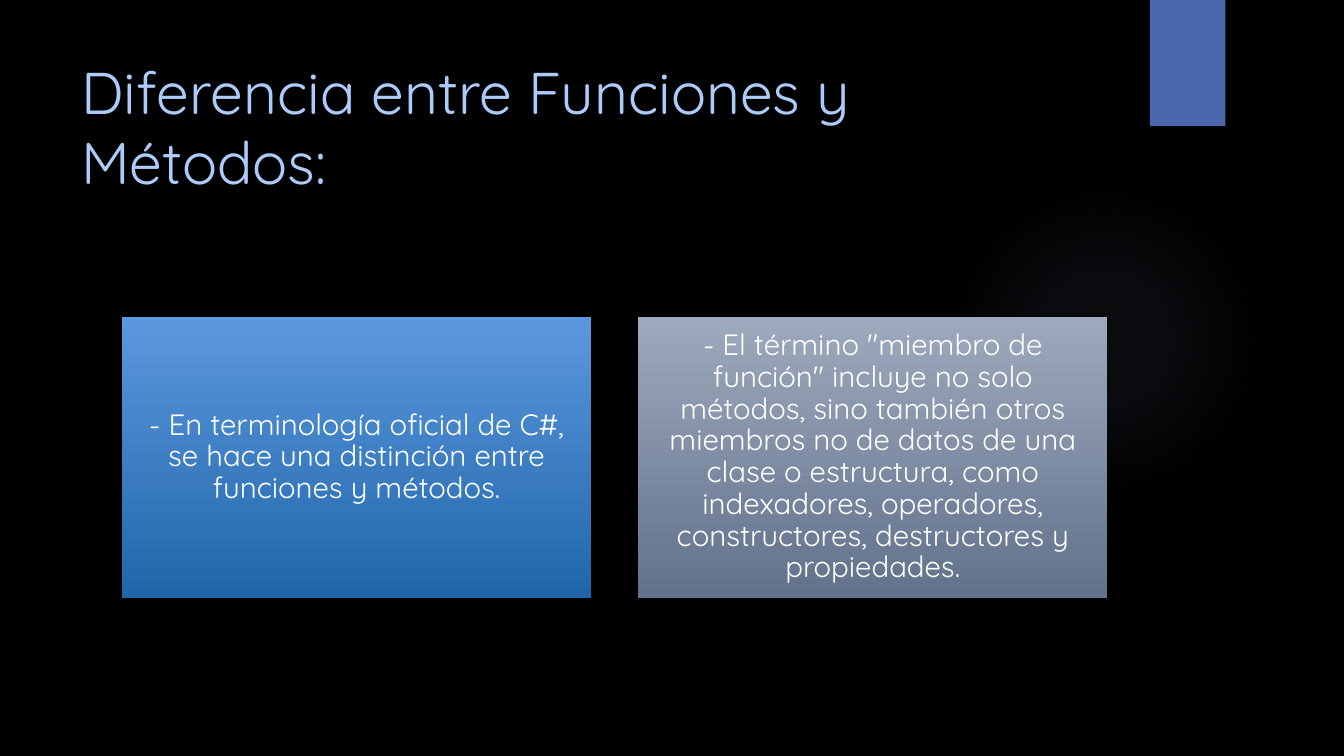
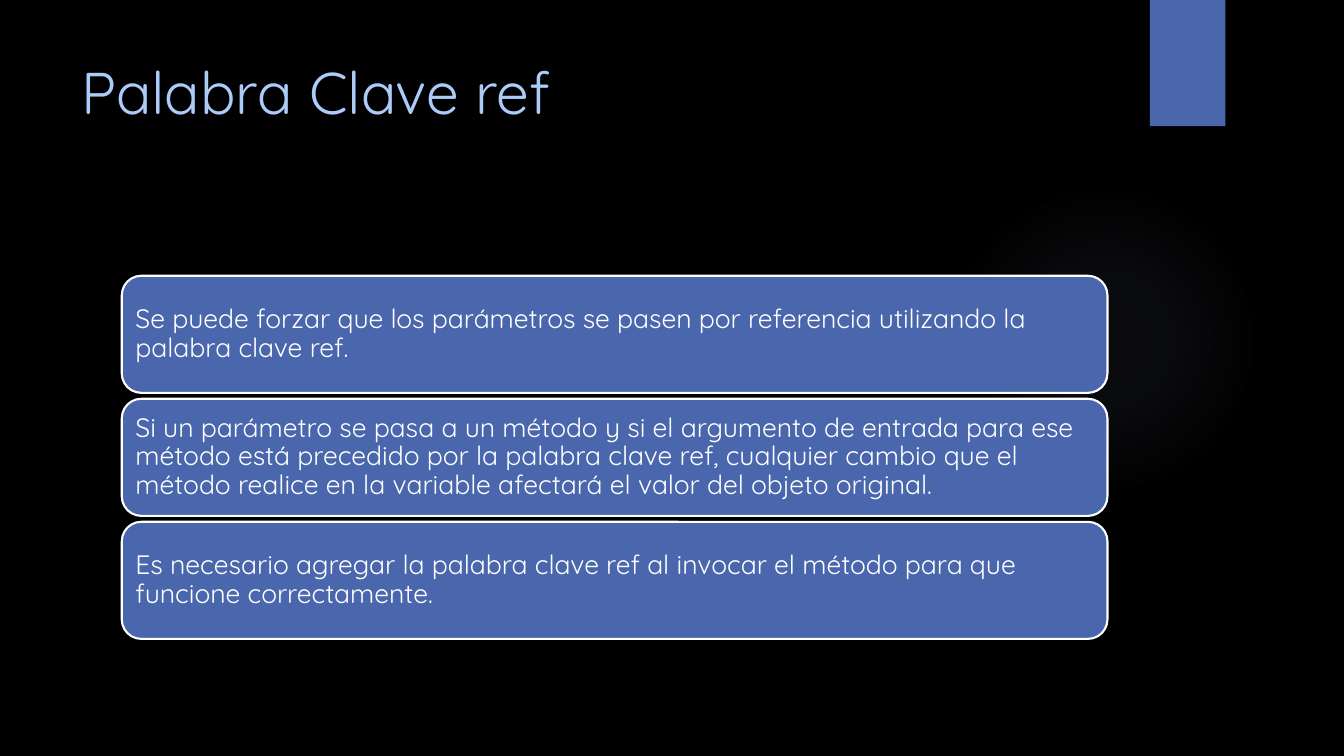
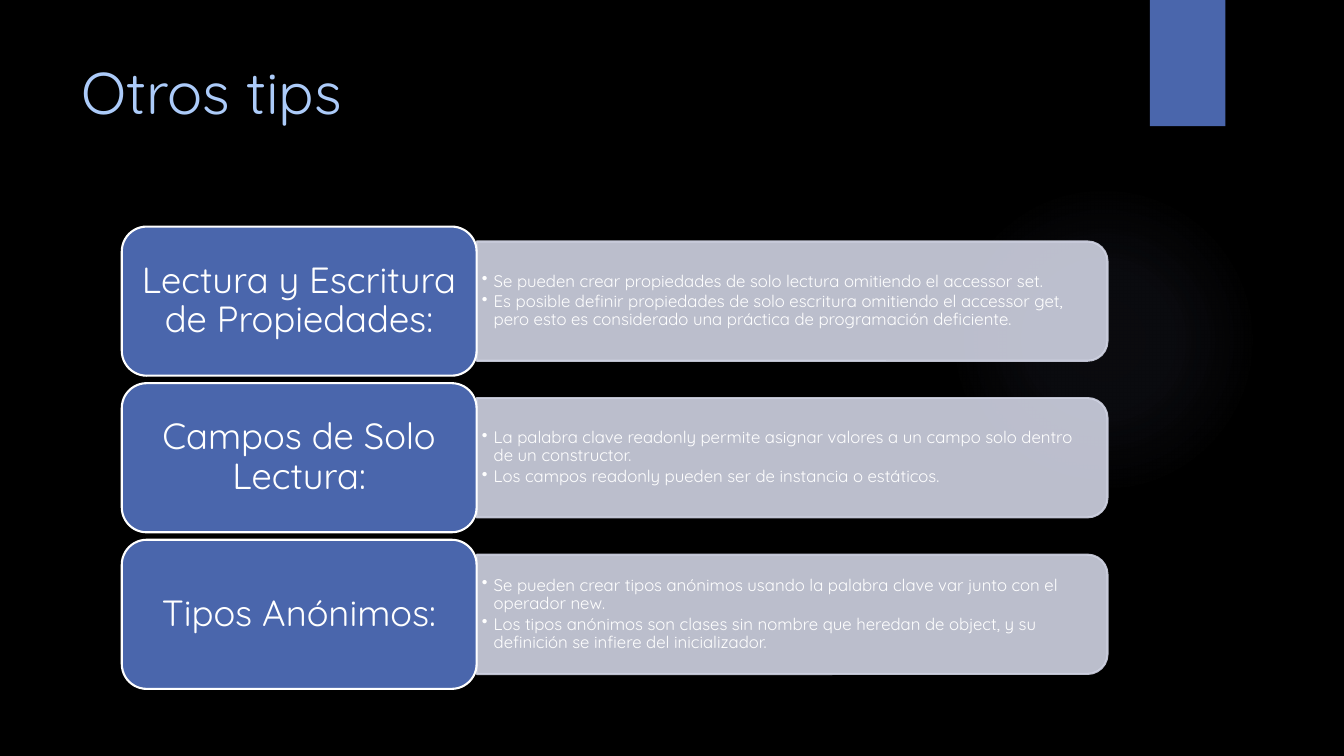
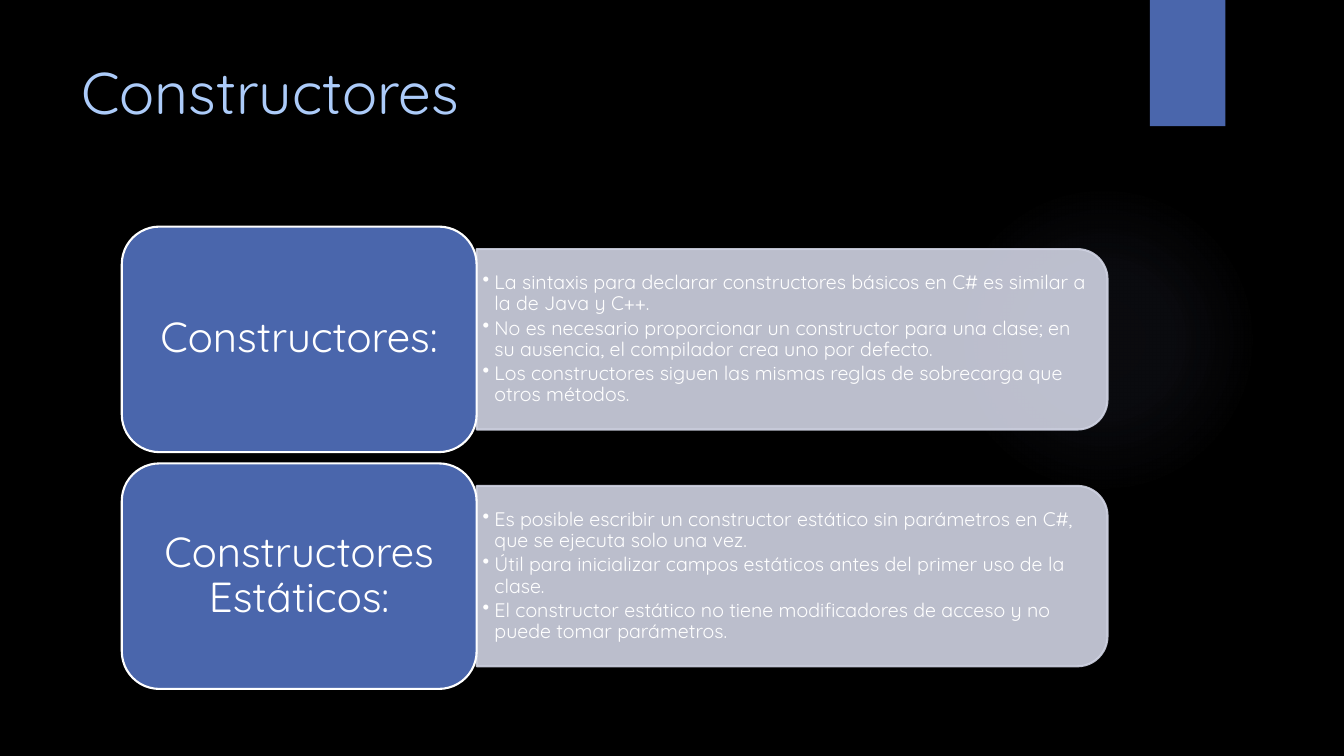
from pptx import Presentation
from pptx.dml.color import RGBColor
from pptx.enum.shapes import MSO_SHAPE as Shape
from pptx.enum.text import MSO_ANCHOR as Anchor, PP_ALIGN as Align
from pptx.oxml import parse_xml
from pptx.oxml.ns import nsdecls, qn
from pptx.util import Cm, Pt
from lxml.etree import SubElement

# Content
CARDS = {
    "title": "Diferencia entre Funciones y Métodos:",
    "items": [
        ("- En terminología oficial de C#, se hace una distinción entre funciones y métodos.",
         ("card blue top", "card blue bottom")),
        ('- El término "miembro de función" incluye no solo métodos, sino también otros '
         "miembros no de datos de una clase o estructura, como indexadores, operadores, "
         "constructores, destructores y propiedades.",
         ("card grey top", "card grey bottom")),
    ],
}
STATEMENTS = {
    "title": "Palabra Clave ref",
    "items": [
        "Se puede forzar que los parámetros se pasen por referencia utilizando la palabra clave ref.",
        "Si un parámetro se pasa a un método y si el argumento de entrada para ese método está "
        "precedido por la palabra clave ref, cualquier cambio que el método realice en la "
        "variable afectará el valor del objeto original.",
        "Es necesario agregar la palabra clave ref al invocar el método para que funcione "
        "correctamente.",
    ],
}
TIPS = {
    "title": "Otros tips",
    "label": {"size": 26, "insets": (0.28, 0.13)},
    "detail": {"size": 12, "insets": (0.13, 0.07)},
    "items": [
        ("Lectura y Escritura de Propiedades:", [
            "Se pueden crear propiedades de solo lectura omitiendo el accessor set.",
            "Es posible definir propiedades de solo escritura omitiendo el accessor get, pero "
            "esto es considerado una práctica de programación deficiente.",
        ]),
        ("Campos de Solo Lectura:", [
            "La palabra clave readonly permite asignar valores a un campo solo dentro de un "
            "constructor.",
            "Los campos readonly pueden ser de instancia o estáticos.",
        ]),
        ("Tipos Anónimos:", [
            "Se pueden crear tipos anónimos usando la palabra clave var junto con el operador new.",
            "Los tipos anónimos son clases sin nombre que heredan de object, y su definición se "
            "infiere del inicializador.",
        ]),
    ],
}
CONSTRUCTORS = {
    "title": "Constructores",
    "label": {"size": 30, "insets": (0.3, 0.15)},
    "detail": {"size": 14, "insets": (0.15, 0.08)},
    "items": [
        ("Constructores:", [
            "La sintaxis para declarar constructores básicos en C# es similar a la de Java y C++.",
            "No es necesario proporcionar un constructor para una clase; en su ausencia, el "
            "compilador crea uno por defecto.",
            "Los constructores siguen las mismas reglas de sobrecarga que otros métodos.",
        ]),
        ("Constructores Estáticos:", [
            "Es posible escribir un constructor estático sin parámetros en C#, que se ejecuta "
            "solo una vez.",
            "Útil para inicializar campos estáticos antes del primer uso de la clase.",
            "El constructor estático no tiene modificadores de acceso y no puede tomar parámetros.",
        ]),
    ],
}

# Shared look
COLORS = {
    "background": "000000", "title": "ACCBF9", "text": "FFFFFF", "accent": "4A66AC",
    "glow": "9297CF", "panel": "D0D3E3",
    "card blue top": "5B97DD", "card blue bottom": "2166AB",
    "card grey top": "9DA9BC", "card grey bottom": "62728C",
}
FONT = "Quicksand"
GLOW_STOPS = [(0, 7), (36, 6), (69, 0)]  # position and opacity, percent

# Layout, in centimetres
LEFT, WIDTH = 3.07, 24.84
CARD_TOP, CARD_HEIGHT, CARD_GAP = 7.98, 7.09, 1.18
STATEMENT_TOP, STATEMENT_HEIGHT, STATEMENT_GAP = 6.95, 2.95, 0.15
STACK_TOP, STACK_HEIGHT, STACK_GAP = 5.71, 11.65, 0.05  # gap as a share of a row
LABEL_SHARE, PANEL_SHARE = 0.36, 0.8
CORNER_INSET = 0.05  # room a rounded corner takes, as a share of the height
BULLET_INDENT = 0.3


def rgb(name):
    return RGBColor.from_string(COLORS[name])


def set_opacity(fill_parent, percent):
    color = fill_parent.find(qn("a:solidFill"))[0]
    SubElement(color, qn("a:alpha"), val=str(percent * 1000))


def add_block(slide, kind, box, fill=None, line=None):
    block = slide.shapes.add_shape(kind, *map(Cm, box))
    block.shadow.inherit = False
    if fill:
        block.fill.solid()
        block.fill.fore_color.rgb = rgb(fill)
    if line:
        block.line.color.rgb = rgb(line)
        block.line.width = Pt(1.5)
    else:
        block.line.fill.background()
    return block


def write(shape, texts, size, insets, color="text", align=Align.LEFT,
          anchor=Anchor.MIDDLE, spacing=0.9, bullets=False):
    frame = shape.text_frame
    side, edge = map(Cm, insets)
    frame_format = {"word_wrap": True, "vertical_anchor": anchor,
                    "margin_left": side, "margin_right": side,
                    "margin_top": edge, "margin_bottom": edge}
    for name, value in frame_format.items():
        setattr(frame, name, value)
    for index, text in enumerate(texts):
        paragraph = frame.add_paragraph() if index else frame.paragraphs[0]
        if bullets:
            props = paragraph._p.get_or_add_pPr()
            props.set("marL", str(Cm(BULLET_INDENT)))
            props.set("indent", str(-Cm(BULLET_INDENT)))
            SubElement(props, qn("a:buChar"), char="•")
            paragraph.space_after = Pt(0.15 * size)
        paragraph.alignment = align
        paragraph.line_spacing = spacing
        run = paragraph.add_run()
        run.text = text
        for name, value in {"name": FONT, "size": Pt(size)}.items():
            setattr(run.font, name, value)
        run.font.color.rgb = rgb(color)


def add_glow(slide):
    glow = add_block(slide, Shape.OVAL, (23.9, 4.65, 7.82, 7.82))
    stops = "".join(
        f'<a:gs pos="{position * 1000}"><a:srgbClr val="{COLORS["glow"]}">'
        f'<a:alpha val="{opacity * 1000}"/></a:srgbClr></a:gs>'
        for position, opacity in GLOW_STOPS)
    gradient = parse_xml(
        f'<a:gradFill {nsdecls("a")} rotWithShape="1"><a:gsLst>{stops}</a:gsLst>'
        '<a:path path="circle"><a:fillToRect l="50000" t="50000" r="50000" b="50000"/>'
        '</a:path></a:gradFill>')
    glow._element.spPr.find(qn("a:prstGeom")).addnext(gradient)


def start_slide(prs, title):
    slide = prs.slides.add_slide(prs.slide_layouts[6])
    add_glow(slide)
    add_block(slide, Shape.RECTANGLE, (28.98, 0, 1.9, 3.18), "accent")
    heading = slide.shapes.add_textbox(*map(Cm, (1.8, 1.27, 26.14, 3.89)))
    write(heading, [title], 42, (0.25, 0.13), "title", anchor=Anchor.TOP, spacing=1.0)
    return slide


# Two gradient cards side by side
def build_cards(prs, content):
    slide = start_slide(prs, content["title"])
    count = len(content["items"])
    width = (WIDTH - CARD_GAP * (count - 1)) / count
    for index, (text, shades) in enumerate(content["items"]):
        left = LEFT + index * (width + CARD_GAP)
        card = add_block(slide, Shape.RECTANGLE, (left, CARD_TOP, width, CARD_HEIGHT))
        card.fill.gradient()
        card.fill.gradient_angle = 270
        for position, (stop, shade) in enumerate(zip(card.fill.gradient_stops, shades)):
            stop.position = position
            stop.color.rgb = rgb(shade)
        write(card, [text], 21, (0.23, 0.23), align=Align.CENTER)


# Full-width statements, one under another
def build_statements(prs, content):
    slide = start_slide(prs, content["title"])
    for index, text in enumerate(content["items"]):
        top = STATEMENT_TOP + index * (STATEMENT_HEIGHT + STATEMENT_GAP)
        statement = add_block(slide, Shape.ROUNDED_RECTANGLE,
                              (LEFT, top, WIDTH, STATEMENT_HEIGHT), "accent", "text")
        write(statement, [text], 19, (0.2, 0.2))


# Rows with a label and a panel of bullets
def build_rows(prs, content):
    slide = start_slide(prs, content["title"])
    count = len(content["items"])
    height = STACK_HEIGHT / (count + STACK_GAP * (count - 1))
    label_width = WIDTH * LABEL_SHARE
    panel_left, panel_width = LEFT + label_width, WIDTH - label_width
    panel_height = height * PANEL_SHARE
    for index, (name, details) in enumerate(content["items"]):
        top = STACK_TOP + index * height * (1 + STACK_GAP)
        panel_top = top + (height - panel_height) / 2
        # The panel is turned so that its rounded corners face right
        shift = (panel_width - panel_height) / 2
        panel = add_block(slide, Shape.ROUND_2_SAME_RECTANGLE,
                          (panel_left + shift, panel_top - shift, panel_height, panel_width),
                          "panel", "panel")
        panel.rotation = 90
        properties = panel._element.spPr
        for part in (properties, properties.find(qn("a:ln"))):
            set_opacity(part, 90)
        detail_box = (panel_left, panel_top,
                      panel_width - CORNER_INSET * panel_height, panel_height)
        detail = slide.shapes.add_textbox(*map(Cm, detail_box))
        write(detail, details, **content["detail"], bullets=True)
        label = add_block(slide, Shape.ROUNDED_RECTANGLE,
                          (LEFT, top, label_width, height), "accent", "text")
        write(label, [name], **content["label"], align=Align.CENTER)


def main():
    prs = Presentation()
    prs.slide_width, prs.slide_height = Cm(33.87), Cm(19.05)
    backdrop = prs.slide_master.background.fill
    backdrop.solid()
    backdrop.fore_color.rgb = rgb("background")
    build_cards(prs, CARDS)
    build_statements(prs, STATEMENTS)
    build_rows(prs, TIPS)
    build_rows(prs, CONSTRUCTORS)
    prs.save("out.pptx")


if __name__ == "__main__":
    main()
